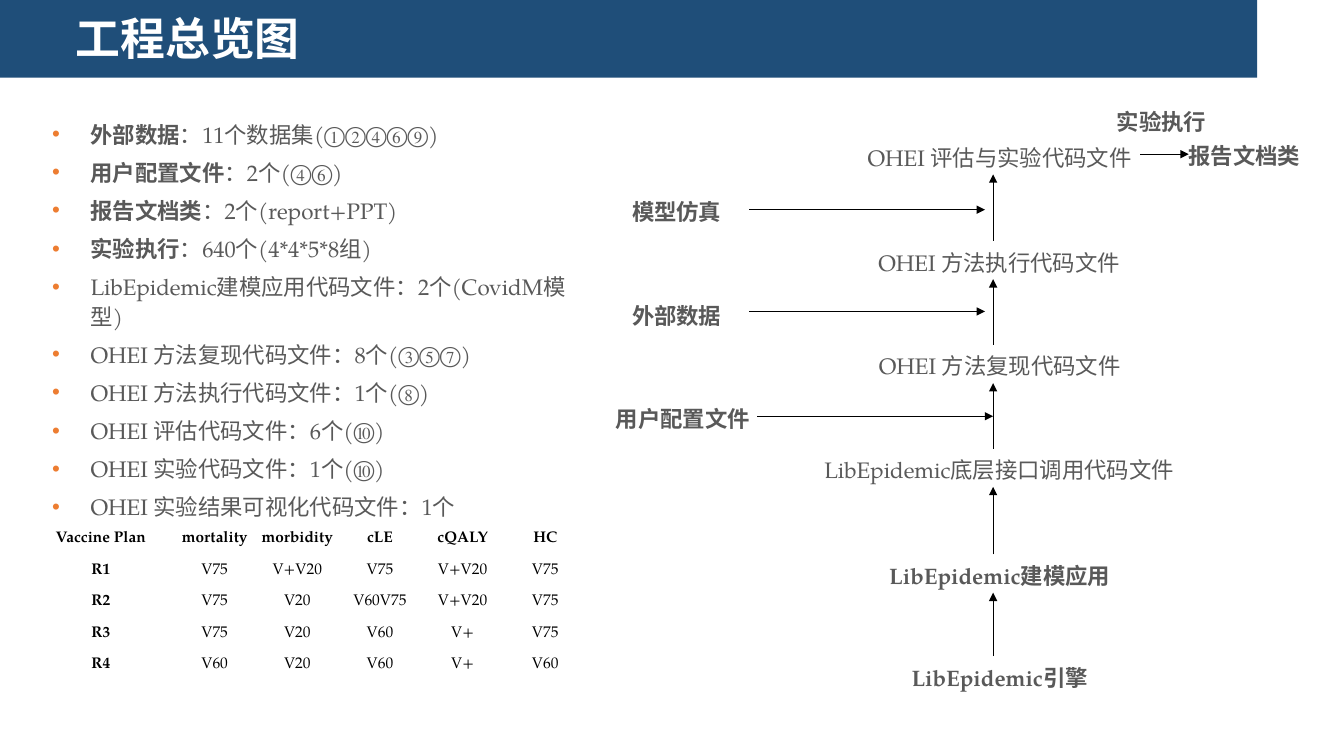
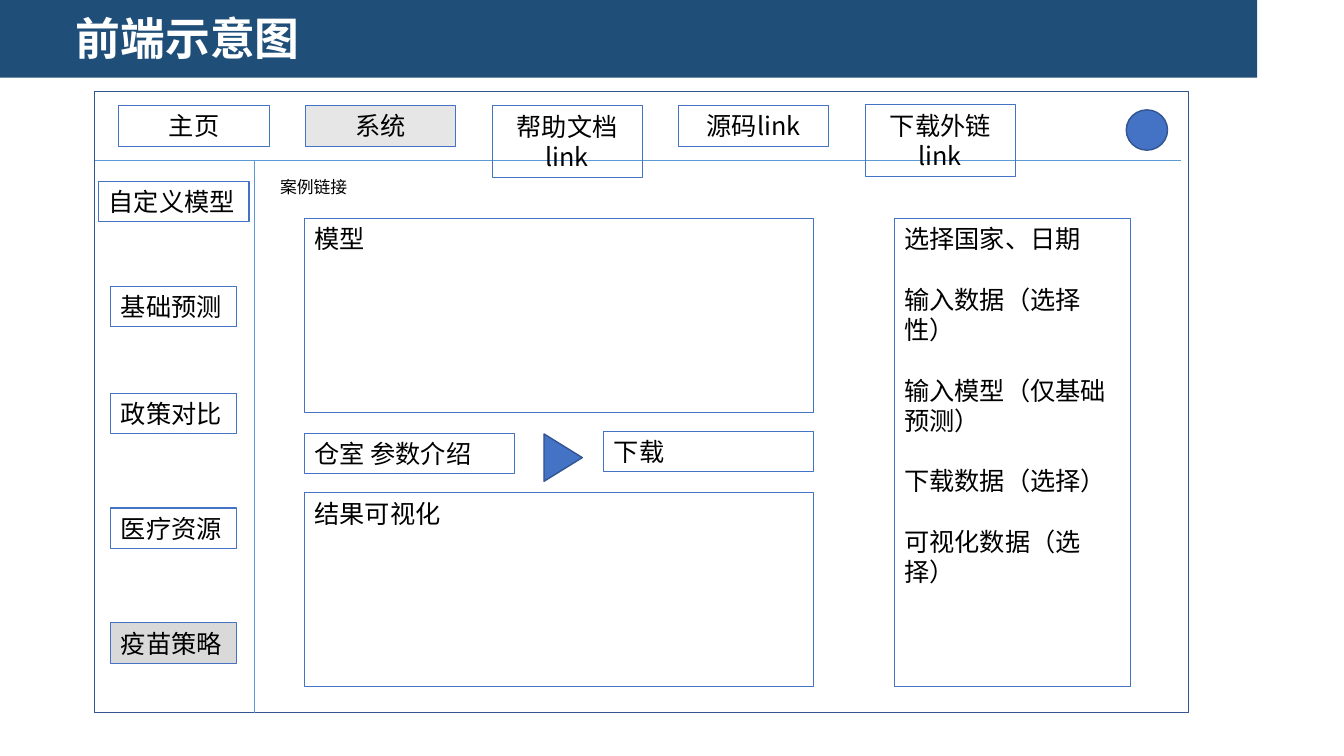
from itertools import pairwise

from pptx import Presentation
from pptx.dml.color import RGBColor
from pptx.enum.shapes import MSO_CONNECTOR, MSO_SHAPE
from pptx.enum.text import MSO_ANCHOR, MSO_AUTO_SIZE, PP_ALIGN
from pptx.oxml.ns import qn
from pptx.util import Pt
from lxml.etree import SubElement

PX = 9144
SERIF = "TeX Gyre Pagella"
SANS = "Noto Sans CJK SC"
NAVY = RGBColor(0x1F, 0x4E, 0x79)
WHITE = RGBColor(0xFF, 0xFF, 0xFF)
BLACK = RGBColor(0, 0, 0)
GRAY = RGBColor(0x59, 0x59, 0x59)
ORANGE = RGBColor(0xED, 0x7D, 0x31)
BLUE = RGBColor(0x44, 0x72, 0xC4)
EDGE = RGBColor(0x32, 0x54, 0x91)
SKY = RGBColor(0x5B, 0x9B, 0xD5)
SILVER = RGBColor(0xD9, 0xD9, 0xD9)
PALE = RGBColor(0xE7, 0xE6, 0xE6)

ITEMS = [
    ("外部数据", "：11个数据集(①②④⑥⑨)"),
    ("用户配置文件", "：2个(④⑥)"),
    ("报告文档类", "：2个(report+PPT)"),
    ("实验执行", "：640个(4*4*5*8组)"),
    ("", "LibEpidemic建模应用代码文件：2个(CovidM模型)"),
    ("", "OHEI 方法复现代码文件：8个(③⑤⑦)"),
    ("", "OHEI 方法执行代码文件：1个(⑧)"),
    ("", "OHEI 评估代码文件：6个(⑩)"),
    ("", "OHEI 实验代码文件：1个(⑩)"),
    ("", "OHEI 实验结果可视化代码文件：1个"),
]
STAGES = [
    ("OHEI 评估与实验代码文件", 135, 345, False),
    ("OHEI 方法执行代码文件", 239, 292, False),
    ("OHEI 方法复现代码文件", 342, 309, False),
    ("LibEpidemic底层接口调用代码文件", 445, 412, False),
    ("LibEpidemic建模应用", 550, 309, True),
    ("LibEpidemic引擎", 651, 277, True),
]
NOTES = [
    ("模型仿真", 605, 189, 138),
    ("外部数据", 605, 292, 138),
    ("用户配置文件", 589, 394, 190),
    ("报告文档类", 1157, 133, 166),
    ("实验执行", 1086, 100, 138),
]
INPUTS = [(743, 977, 208), (743, 977, 309), (751, 985, 413), (1131, 1179, 153)]
PLANS = [
    ("Vaccine Plan", "mortality", "morbidity", "cLE", "cQALY", "HC"),
    ("R1", "V75", "V+V20", "V75", "V+V20", "V75"),
    ("R2", "V75", "V20", "V60V75", "V+V20", "V75"),
    ("R3", "V75", "V20", "V60", "V+", "V75"),
    ("R4", "V60", "V20", "V60", "V+", "V60"),
]
TABS = [
    ("主页", 105, 40, None),
    ("系统", 105, 40, PALE),
    ("帮助文档link", 105, 71, None),
    ("源码link", 105, 40, None),
    ("下载外链link", 104, 71, None),
]
MENU = [
    ("自定义模型", 98, 180, 149, None),
    ("基础预测", 110, 284, 125, None),
    ("政策对比", 110, 390, 125, None),
    ("医疗资源", 110, 504, 125, None),
    ("疫苗策略", 110, 618, 125, SILVER),
]
PANES = [
    ("模型", 302, 217, 505, 192),
    ("仓室 参数介绍", 302, 430, 208, 40),
    ("下载", 599, 428, 208, 40),
    ("结果可视化", 302, 489, 505, 192),
]
FIELDS = ["选择国家、日期", "输入数据（选择性）", "输入模型（仅基础预测）",
          "下载数据（选择）", "可视化数据（选择）"]


def scale(*nums):
    return [num * PX for num in nums]


def write(para, text, size, font=SANS, color=BLACK, bold=False):
    run = para.add_run()
    run.text = text
    run.font.size = Pt(size)
    run.font.bold = bold
    run.font.color.rgb = color
    run.font.name = font
    east = SubElement(run.font._element, qn("a:ea"))
    east.set("typeface", SANS)


def indent(para, left, hang=0):
    props = para._p.get_or_add_pPr()
    props.set("marL", str(left * PX))
    props.set("indent", str(hang * PX))
    return props


def bullet(para):
    props = indent(para, 49, -38)
    tint = SubElement(SubElement(props, qn("a:buClr")), qn("a:srgbClr"))
    tint.set("val", str(ORANGE))
    SubElement(props, qn("a:buFont")).set("typeface", "Arial")
    SubElement(props, qn("a:buChar")).set("char", "•")


def add_text(slide, *place):
    frame = slide.shapes.add_textbox(*scale(*place)).text_frame
    frame.word_wrap = True
    return frame


def add_label(slide, text, place, bold=True, align=PP_ALIGN.LEFT):
    para = add_text(slide, *place).paragraphs[0]
    para.alignment = align
    para.line_spacing = Pt(21.2)
    indent(para, 12)
    write(para, text, 16, SERIF, GRAY, bold)


def add_form(slide, place, fill=None, edge=BLUE, width=0.75, kind=MSO_SHAPE.RECTANGLE):
    form = slide.shapes.add_shape(kind, *scale(*place))
    form.shadow.inherit = False
    if fill is None:
        form.fill.background()
    else:
        form.fill.solid()
        form.fill.fore_color.rgb = fill
    if edge is None:
        form.line.fill.background()
    else:
        form.line.color.rgb = edge
        form.line.width = Pt(width)
    return form


def add_box(slide, lines, place, fill=None, align=PP_ALIGN.LEFT):
    frame = add_form(slide, place, fill).text_frame
    frame.word_wrap = True
    frame.vertical_anchor = MSO_ANCHOR.TOP
    for row, line in enumerate(lines):
        para = frame.add_paragraph() if row else frame.paragraphs[0]
        para.alignment = align
        para.line_spacing = Pt(21.6)
        para.space_before = Pt(21.6 if row else 0)
        write(para, line, 18)


def add_line(slide, start, end, color=BLACK, arrow=False):
    line = slide.shapes.add_connector(MSO_CONNECTOR.STRAIGHT, *scale(*start, *end))
    line.line.color.rgb = color
    line.line.width = Pt(0.5)
    if arrow:
        SubElement(line.line._get_or_add_ln(), qn("a:tailEnd")).set("type", "triangle")
    SubElement(line._element.spPr, qn("a:effectLst"))


def add_table(slide, rows, place, widths):
    table = slide.shapes.add_table(len(rows), len(widths), *scale(*place)).table
    table.first_row = table.horz_banding = False
    for col, width in zip(table.columns, widths):
        col.width = width * PX
    for top, row in enumerate(rows):
        for left, text in enumerate(row):
            cell = table.cell(top, left)
            cell.fill.background()
            cell.vertical_anchor = MSO_ANCHOR.MIDDLE
            cell.margin_left = cell.margin_right = cell.margin_top = PX
            cell.margin_bottom = 0
            para = cell.text_frame.paragraphs[0]
            para.alignment = PP_ALIGN.CENTER
            write(para, text, 11, SERIF, bold=top == 0 or left == 0)


def add_slide(deck, name):
    slide = deck.slides.add_slide(deck.slide_layouts[5])
    title = slide.shapes.title
    title.left, title.top, title.width, title.height = scale(65, 2, 1150, 77)
    frame = title.text_frame
    frame.auto_size = MSO_AUTO_SIZE.NONE
    frame.vertical_anchor = MSO_ANCHOR.MIDDLE
    para = frame.paragraphs[0]
    para.alignment = PP_ALIGN.LEFT
    para.line_spacing = 0.9
    write(para, name, 32, SERIF, WHITE, True)
    return slide


def set_band(slide):
    band = add_form(slide, (0, 0, 1247, 77), NAVY, None)
    slide.slide_layout.shapes.element.insert(2, band.element)


def fill_works(slide):
    frame = add_text(slide, 31, 112, 567, 380)
    for row, (head, rest) in enumerate(ITEMS):
        para = frame.add_paragraph() if row else frame.paragraphs[0]
        para.line_spacing = Pt(21.2)
        para.space_after = Pt(6)
        bullet(para)
        if head:
            write(para, head, 16, SERIF, GRAY, True)
        write(para, rest, 16, SERIF, GRAY)
    for text, top, width, bold in STAGES:
        add_label(slide, text, (985 - width // 2, top, width, 38), bold, PP_ALIGN.CENTER)
    for text, *place in NOTES:
        add_label(slide, text, (*place, 38))
    for upper, lower in pairwise(STAGES):
        add_line(slide, (985, lower[1]), (985, upper[1] + 38), arrow=True)
    for left, right, top in INPUTS:
        add_line(slide, (left, top), (right, top), arrow=True)
    add_table(slide, PLANS, (28, 519, 554, 156), [144] + [82] * 5)


def fill_front(slide):
    add_form(slide, (94, 91, 1085, 616), edge=EDGE, width=1)
    add_line(slide, (252, 159), (252, 707), SKY)
    for text, left, top, width, fill in MENU:
        add_box(slide, [text], (left, top, width, 40), fill)
    para = add_text(slide, 268, 170, 149, 30).paragraphs[0]
    para.line_spacing = Pt(14.4)
    write(para, "案例链接", 12)
    for text, *place in PANES:
        add_box(slide, [text], place)
    add_box(slide, FIELDS, (887, 217, 234, 464))
    add_line(slide, (94, 159), (1171, 159), SKY)
    for col, (text, top, height, fill) in enumerate(TABS):
        add_box(slide, [text], (118 + 185 * col, top, 149, height), fill, PP_ALIGN.CENTER)
    play = add_form(slide, (535, 435, 47, 38), BLUE, EDGE, 1, MSO_SHAPE.ISOSCELES_TRIANGLE)
    play.rotation = 90
    add_form(slide, (1117, 109, 41, 40), BLUE, EDGE, 1, MSO_SHAPE.OVAL)


def main():
    deck = Presentation()
    deck.slide_width, deck.slide_height = scale(1333, 750)
    works = add_slide(deck, "工程总览图")
    set_band(works)
    fill_works(works)
    fill_front(add_slide(deck, "前端示意图"))
    deck.save("out.pptx")


if __name__ == "__main__":
    main()
